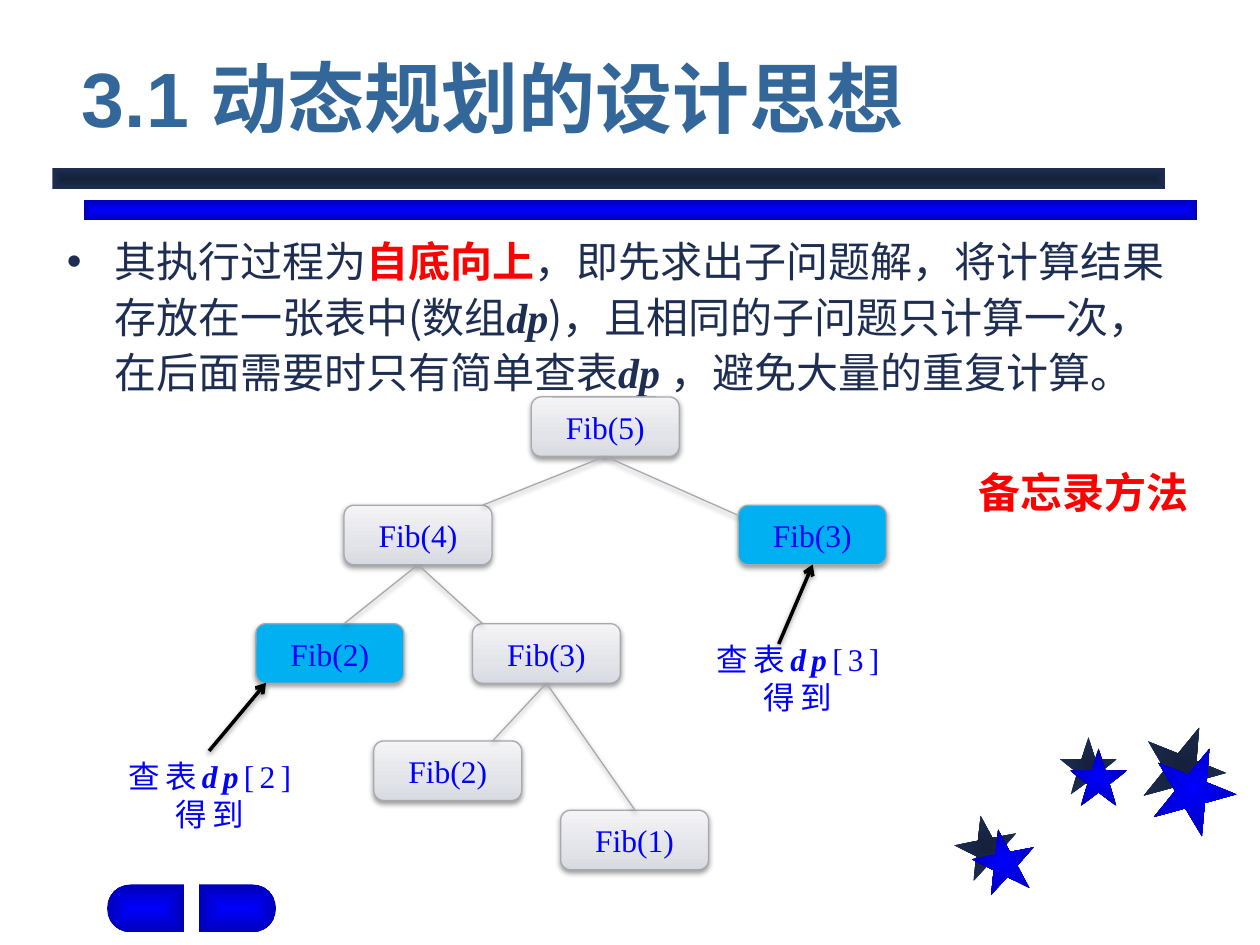
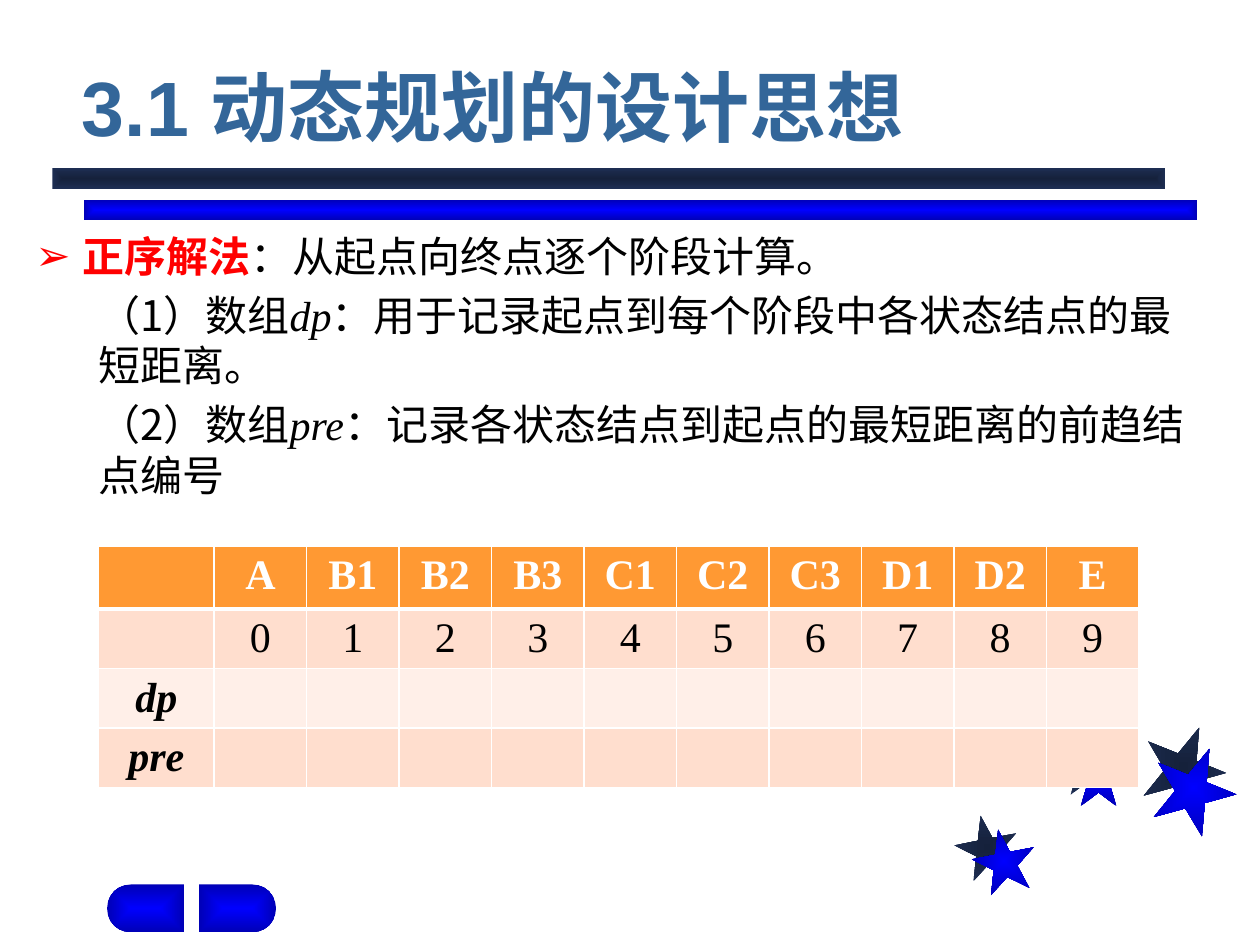
import math
from dataclasses import dataclass

import lxml.etree
import pptx
import pptx.dml.color
import pptx.enum.shapes
import pptx.enum.text
import pptx.oxml.ns
import pptx.shapes.base
import pptx.slide
import pptx.table
import pptx.text.text
import pptx.util

Pt = pptx.util.Pt
SHAPE = pptx.enum.shapes.MSO_SHAPE
ALIGN = pptx.enum.text.PP_ALIGN
ANCHOR = pptx.enum.text.MSO_ANCHOR
FIT = pptx.enum.text.MSO_AUTO_SIZE

CJK, SERIF, SANS = "Noto Sans CJK SC", "Times New Roman", "Arial"
NAVY, BLUE, RED, BLACK, WHITE = "1E2E53", "0000FF", "FF0000", "000000", "FFFFFF"
TITLE_BLUE, SKY, GREY = "336699", "00B0F0", "A7A9AF"
DARK_GLOW = [(0, "15213B"), (100, NAVY)]
BLUE_GLOW = [(0, BLUE), (100, "0000B6")]
SILVER = [(0, "D7DAE0"), (35, "E3E4E9"), (100, "F4F4F6")]
HEADER_ORANGE, BAND_DARK, BAND_LIGHT = "FF9933", "FFDECE", "FFEFE8"
TITLE = "3.1 动态规划的设计思想"


@dataclass(frozen=True)
class Star:
    left: float
    top: float
    size: float
    turn: float
    glow: list


@dataclass(frozen=True)
class Node:
    label: str
    left: float
    top: float
    looked_up: bool = False

    @property
    def foot(self) -> tuple[float, float]:
        return self.left + NODE_WIDTH / 2, self.top + NODE_HEIGHT


@dataclass(frozen=True)
class Lookup:
    """A note on a table look-up, with its arrow."""
    index: int
    left: float
    top: float
    width: float
    start: tuple[float, float]
    end: tuple[float, float]


NODE_WIDTH, NODE_HEIGHT = 84.5, 34
FIB5 = Node("Fib(5)", 303.6, 226.8)
FIB4 = Node("Fib(4)", 196.6, 288.7)
FIB3 = Node("Fib(3)", 270, 356.4)
NODES = [
    FIB5, FIB4, FIB3,
    Node("Fib(2)", 146.2, 356.4, True),
    Node("Fib(2)", 213.6, 423.4),
    Node("Fib(1)", 320.4, 463),
    Node("Fib(3)", 421.9, 288.7, True),
]
EDGES = [
    (FIB5, (275.8, 288.7)), (FIB5, (421.9, 294.5)),
    (FIB4, (196.6, 356.4)), (FIB4, (275.8, 356.4)),
    (FIB3, (281.5, 423.4)), (FIB3, (362.9, 463)),
]
LOOKUPS = [
    Lookup(3, 399.6, 362.2, 113, (445, 368), (464.4, 322.6)),
    Lookup(2, 54, 429.1, 131.8, (119.5, 429.1), (152, 390.2)),
]
STARS = [
    Star(545.8, 465.8, 36, 349, DARK_GLOW),
    Star(605.5, 421.2, 33, 0, DARK_GLOW),
    Star(652.3, 414, 48, 22, DARK_GLOW),
    Star(555.8, 473.8, 36, 349, BLUE_GLOW),
    Star(611.3, 427.7, 33, 0, BLUE_GLOW),
    Star(658.1, 426.2, 48, 22, BLUE_GLOW),
]


def child(parent, tag: str, **attributes):
    return lxml.etree.SubElement(parent, pptx.oxml.ns.qn(tag), **attributes)


def rgb(color: str) -> pptx.dml.color.RGBColor:
    return pptx.dml.color.RGBColor.from_string(color)


def paint(fill, color: str) -> None:
    fill.solid()
    fill.fore_color.rgb = rgb(color)


def paint_gradient(shape, stops: list, angle: int | None = None) -> None:
    """Fill along an angle, or outward from the centre without one."""
    shape.fill.gradient()
    gradient = shape._element.spPr.find(pptx.oxml.ns.qn("a:gradFill"))
    gradient.clear()
    gradient.set("rotWithShape", "1")
    stop_list = child(gradient, "a:gsLst")
    for position, color in stops:
        stop = child(stop_list, "a:gs", pos=str(position * 1000))
        child(stop, "a:srgbClr", val=color)
    if angle is None:
        centre = child(gradient, "a:path", path="shape")
        child(centre, "a:fillToRect", **dict.fromkeys("ltrb", "50000"))
    else:
        child(gradient, "a:lin", ang=str(angle * 60000), scaled="0")


def add_shadow(shape) -> None:
    effects = child(shape._element.spPr, "a:effectLst")
    shadow = child(effects, "a:outerShdw", blurRad=str(Pt(3.1)), dist=str(Pt(1.6)),
                   dir="5400000", rotWithShape="0")
    child(child(shadow, "a:srgbClr", val=BLACK), "a:alpha", val="38000")


def write(para: pptx.text.text._Paragraph, text: str, *, size: float = 24,
          color: str = BLACK, font: str = SERIF, bold: bool = False,
          italic: bool = False, tracking: float = 0) -> None:
    span = para.add_run()
    span.text = text
    span.font.size = Pt(size)
    span.font.bold, span.font.italic = bold, italic
    span.font.color.rgb = rgb(color)
    span.font.name = font
    properties = span._r.get_or_add_rPr()
    child(properties, "a:ea", typeface=CJK)
    if tracking:
        properties.set("spc", str(int(tracking * 100)))


def indent(para, left: float, first: float, bullet: str = "") -> None:
    properties = para._p.get_or_add_pPr()
    properties.set("marL", str(Pt(left)))
    properties.set("indent", str(Pt(first)))
    if bullet:
        child(properties, "a:buChar", char=bullet)
    else:
        child(properties, "a:buNone")


def place(shape: pptx.shapes.base.BaseShape, left: float, top: float,
          width: float, height: float) -> None:
    shape.left, shape.top = Pt(left), Pt(top)
    shape.width, shape.height = Pt(width), Pt(height)


def add_text_box(page: pptx.slide.Slide, left: float, top: float, width: float,
                 height: float, wrap: bool = True) -> pptx.text.text.TextFrame:
    box = page.shapes.add_textbox(Pt(left), Pt(top), Pt(width), Pt(height))
    box.text_frame.word_wrap = wrap
    return box.text_frame


def add_glowing(page: pptx.slide.Slide, kind, left: float, top: float,
                width: float, height: float, glow: list, turn: float = 0) -> None:
    shape = page.shapes.add_shape(kind, Pt(left), Pt(top), Pt(width), Pt(height))
    shape.rotation = turn
    finish_glowing(shape, glow)


def finish_glowing(shape, glow: list) -> None:
    paint_gradient(shape, glow)
    shape.line.fill.background()
    shape.shadow.inherit = False


def add_half_pill(page: pptx.slide.Slide, flat_x: float, side: int) -> None:
    """Draw a pill half, rounded to the left (-1) or right (1) of its flat edge."""
    top, radius, straight = 505.4, 13.7, 30.2
    points = [(flat_x, top)]
    for degrees in range(-90, 91, 15):
        angle = math.radians(degrees)
        points.append((flat_x + side * (straight + radius * math.cos(angle)),
                       top + radius * (1 + math.sin(angle))))
    points.append((flat_x, top + 2 * radius))
    outline = [(Pt(x), Pt(y)) for x, y in points]
    builder = page.shapes.build_freeform(*outline[0])
    builder.add_line_segments(outline[1:], close=True)
    finish_glowing(builder.convert_to_shape(), BLUE_GLOW)


def add_page(deck, title_top: float, body_at: tuple) -> tuple:
    """Add a page with its decoration and title; return it with its empty body frame."""
    page = deck.slides.add_slide(deck.slide_layouts[1])
    for star in STARS:
        add_glowing(page, SHAPE.STAR_5_POINT, star.left, star.top,
                    star.size, star.size, star.glow, star.turn)
    for left, top, glow in [(48, 114, BLUE_GLOW), (30, 96, DARK_GLOW)]:
        add_glowing(page, SHAPE.RECTANGLE, left, top, 636, 12, glow)
    add_half_pill(page, 105.1, -1)
    add_half_pill(page, 113.8, 1)

    title, body = page.shapes.title, page.placeholders[1]
    place(title, 39.6, title_top, 612, 66)
    place(body, *body_at)
    for holder in (title, body):
        holder.text_frame.auto_size = FIT.NONE
        holder.text_frame.word_wrap = True
    title.text_frame.vertical_anchor = ANCHOR.BOTTOM
    para = title.text_frame.paragraphs[0]
    para.alignment = ALIGN.LEFT
    write(para, TITLE, size=44, color=TITLE_BLUE, font=SANS, bold=True)
    return page, body.text_frame


def add_node(page: pptx.slide.Slide, node: Node) -> None:
    shape = page.shapes.add_shape(SHAPE.ROUNDED_RECTANGLE, Pt(node.left), Pt(node.top),
                                  Pt(NODE_WIDTH), Pt(NODE_HEIGHT))
    if node.looked_up:
        paint(shape.fill, SKY)
    else:
        paint_gradient(shape, SILVER, 270)
    shape.line.color.rgb = rgb(GREY)
    shape.line.width = Pt(0.75)
    add_shadow(shape)
    shape.text_frame.vertical_anchor = ANCHOR.MIDDLE
    para = shape.text_frame.paragraphs[0]
    para.alignment = ALIGN.CENTER
    write(para, node.label, size=18, color=BLUE)


def add_line(page: pptx.slide.Slide, start: tuple, end: tuple, color: str = GREY,
             width: float = 0.75, arrow: bool = False) -> None:
    line = page.shapes.add_connector(pptx.enum.shapes.MSO_CONNECTOR.STRAIGHT,
                                     *map(Pt, (*start, *end)))
    line.line.color.rgb = rgb(color)
    line.line.width = Pt(width)
    if arrow:
        child(line.line._get_or_add_ln(), "a:tailEnd", type="arrow")
    add_shadow(line)


def add_lookup(page: pptx.slide.Slide, lookup: Lookup) -> None:
    frame = add_text_box(page, lookup.left, lookup.top, lookup.width, 51)
    note = dict(size=18, color=BLUE, tracking=3)
    first, second = frame.paragraphs[0], frame.add_paragraph()
    first.alignment = second.alignment = ALIGN.CENTER
    write(first, "查表", **note)
    write(first, "dp", bold=True, italic=True, **note)
    write(first, f"[{lookup.index}]", **note)
    write(second, "得到", **note)
    add_line(page, lookup.start, lookup.end, BLACK, 2, arrow=True)


def set_borders(cell: pptx.table._Cell, top: float, bottom: float) -> None:
    properties = cell._tc.get_or_add_tcPr()
    widths = {"a:lnL": 1, "a:lnR": 1, "a:lnT": top, "a:lnB": bottom}
    for position, (tag, width) in enumerate(widths.items()):
        border = child(properties, tag, w=str(Pt(width)))
        child(child(border, "a:solidFill"), "a:srgbClr", val=WHITE)
        properties.insert(position, border)


def add_state_table(page: pptx.slide.Slide) -> None:
    states = ["A", "B1", "B2", "B3", "C1", "C2", "C3", "D1", "D2", "E"]
    blanks = [""] * len(states)
    rows = [["", *states], ["", *map(str, range(len(states)))],
            ["dp", *blanks], ["pre", *blanks]]
    fills = [HEADER_ORANGE, BAND_DARK, BAND_LIGHT, BAND_DARK]
    table = page.shapes.add_table(len(rows), len(rows[0]), Pt(56.2), Pt(312),
                                  Pt(594.7), Pt(138)).table
    for number, column in enumerate(table.columns):
        column.width = Pt(52.85 if number else 66.2)
    for r, texts in enumerate(rows):
        table.rows[r].height = Pt(34 if r else 36)
        for c, text in enumerate(texts):
            cell = table.cell(r, c)
            paint(cell.fill, fills[r])
            set_borders(cell, top=3 if r == 1 else 1, bottom=3 if r == 0 else 1)
            if text:
                para = cell.text_frame.paragraphs[0]
                para.alignment = ALIGN.CENTER
                write(para, text, color=BLACK if r else WHITE,
                      bold=r == 0 or c == 0, italic=c == 0)


def build_recursion_page(deck) -> None:
    page, body = add_page(deck, 19.4, (31, 128.2, 657.4, 103))
    para = body.paragraphs[0]
    indent(para, 27, -27, "•")
    para.space_before = Pt(0)
    para.line_spacing = 1.1
    plain = dict(color=NAVY, font=CJK)
    array = dict(color=NAVY, bold=True, italic=True)
    write(para, "其执行过程为", **plain)
    write(para, "自底向上", color=RED, font=CJK, bold=True)
    write(para, "，即先求出子问题解，将计算结果存放在一张表中(数组", **plain)
    write(para, "dp", **array)
    write(para, ")，且相同的子问题只计算一次，在后面需要时只有简单查表", **plain)
    write(para, "dp ", **array)
    write(para, "，避免大量的重复计算。", **plain)

    for node in NODES:
        add_node(page, node)
    for parent, end in EDGES:
        add_line(page, parent.foot, end)
    for lookup in LOOKUPS:
        add_lookup(page, lookup)
    method = add_text_box(page, 552.2, 262.8, 134.6, 36, wrap=False)
    write(method.paragraphs[0], "备忘录方法", color=RED, bold=True)


def build_forward_page(deck) -> None:
    page, body = add_page(deck, 24.5, (13, 128.2, 676, 195))
    para = body.paragraphs[0]
    indent(para, 27, -27, "➢")
    para.space_before = Pt(0)
    write(para, "正序解法", color=RED, font=CJK, bold=True)
    write(para, "：从起点向终点逐个阶段计算。", font=CJK)
    arrays = [("dp", "用于记录起点到每个阶段中各状态结点的最短距离。"),
              ("pre", "记录各状态结点到起点的最短距离的前趋结点编号")]
    for number, (name, purpose) in enumerate(arrays, 1):
        para = body.add_paragraph()
        para.level = 1
        indent(para, 36, 0)
        para.space_before = Pt(4.8)
        write(para, f"（{number}）数组", font=CJK)
        write(para, name, italic=True)
        write(para, "：")
        write(para, purpose, font=CJK)
    add_state_table(page)


def main() -> None:
    deck = pptx.Presentation()
    deck.slide_width, deck.slide_height = Pt(720), Pt(540)
    build_recursion_page(deck)
    build_forward_page(deck)
    deck.save("out.pptx")


if __name__ == "__main__":
    main()
